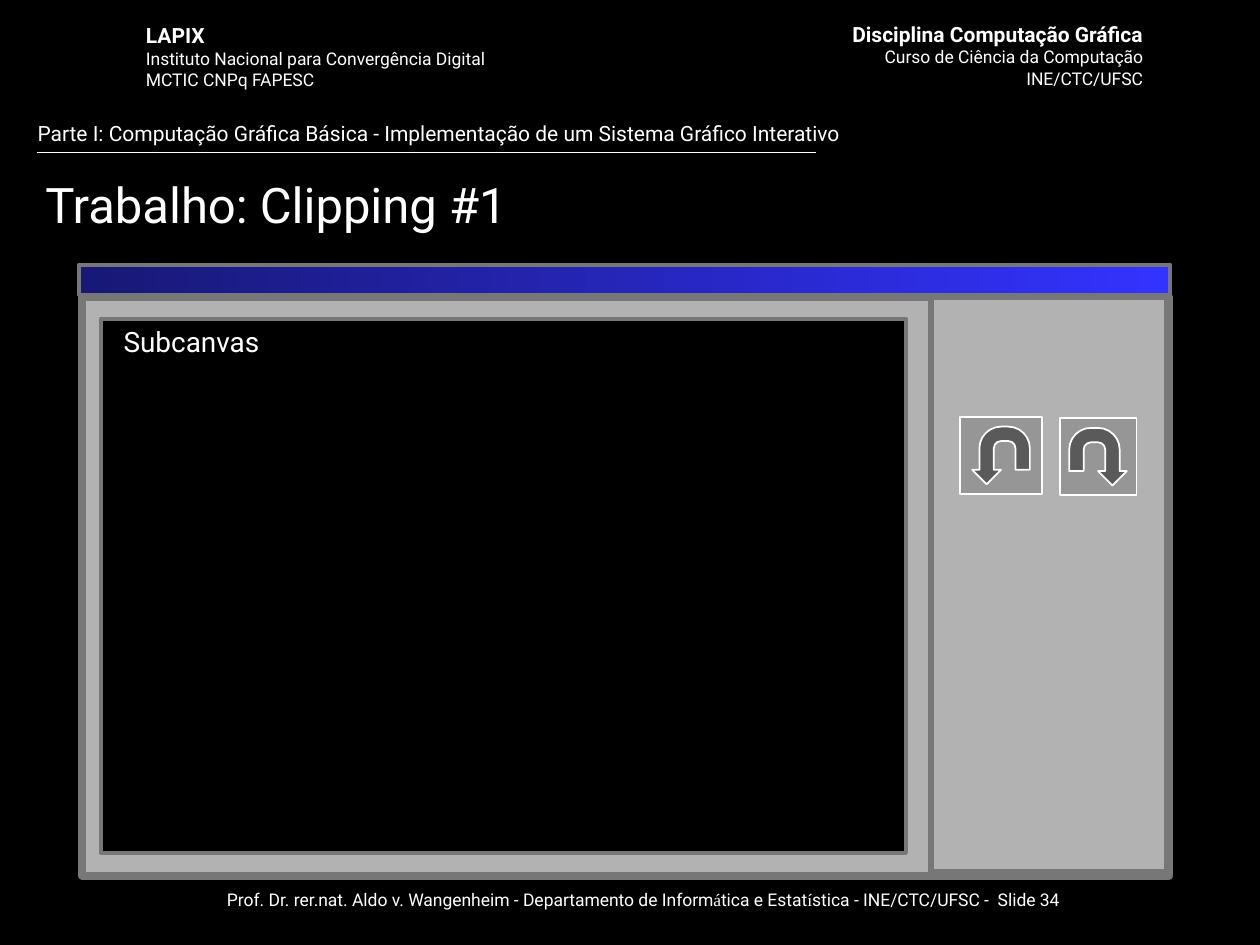
from lxml import etree
from pptx import Presentation
from pptx.dml.color import RGBColor
from pptx.enum.shapes import MSO_CONNECTOR, MSO_SHAPE
from pptx.enum.text import MSO_ANCHOR, MSO_AUTO_SIZE, PP_ALIGN
from pptx.oxml.ns import qn
from pptx.util import Inches, Pt

LEFT, CENTER, RIGHT = PP_ALIGN.LEFT, PP_ALIGN.CENTER, PP_ALIGN.RIGHT
MIDDLE = MSO_ANCHOR.MIDDLE
FIT_SHAPE, NO_FIT = MSO_AUTO_SIZE.SHAPE_TO_FIT_TEXT, MSO_AUTO_SIZE.NONE
STRAIGHT = MSO_CONNECTOR.STRAIGHT
RECT, RETURN = MSO_SHAPE.RECTANGLE, MSO_SHAPE.ACTION_BUTTON_RETURN
TITLE_ONLY = 5

COLORS = {
    "black": "000000",
    "white": "FFFFFF",
    "panel": "B2B2B2",
    "frame": "777777",
    "button": "969696",
    "bar_dark": "181876",
    "bar_light": "3333FF",
}
FONT = "Roboto"
ACCENT_FONT = "Times New Roman"


def rgb(name):
    return RGBColor.from_string(COLORS[name])


class SlideBuilder:
    def __init__(self, prs):
        self.slide = prs.slides.add_slide(prs.slide_layouts[TITLE_ONLY])
        fill = self.slide.background.fill
        fill.solid()
        fill.fore_color.rgb = rgb("black")

    def run(self, p, text, size, bold=False, font=FONT):
        r = p.add_run()
        r.text = text
        r.font.name = font
        r.font.size = Pt(size)
        r.font.bold = bold
        r.font.color.rgb = rgb("white")

    def title(self, box, text, size):
        sp = self.slide.shapes.title
        sp.left, sp.top, sp.width, sp.height = map(Inches, box)
        tf = sp.text_frame
        tf.auto_size = NO_FIT
        tf.vertical_anchor = MIDDLE
        p = tf.paragraphs[0]
        p.alignment = LEFT
        self.run(p, text, size)

    def text(self, box, paragraphs, align=LEFT, wrap=False, before=0):
        """Each paragraph is a list of runs: (text, size[, bold[, font]])."""
        sp = self.slide.shapes.add_textbox(*map(Inches, box))
        tf = sp.text_frame
        tf.word_wrap = wrap
        tf.auto_size = FIT_SHAPE
        for i, runs in enumerate(paragraphs):
            p = tf.add_paragraph() if i else tf.paragraphs[0]
            p.alignment = align
            p.space_before = Pt(before)
            for r in runs:
                self.run(p, *r)

    def line(self, x1, y1, x2, y2):
        cxn = self.slide.shapes.add_connector(STRAIGHT, *map(Inches, (x1, y1, x2, y2)))
        cxn.line.color.rgb = rgb("white")
        cxn.line.width = Pt(1)
        etree.SubElement(cxn._element.spPr, qn("a:effectLst"))

    def shape(self, kind, box, fill, line, width):
        sp = self.slide.shapes.add_shape(kind, *map(Inches, box))
        sp.shadow.inherit = False
        sp.fill.solid()
        sp.fill.fore_color.rgb = rgb(fill)
        sp.line.color.rgb = rgb(line)
        sp.line.width = Pt(width)
        return sp

    def panel(self, box, fill, width):
        return self.shape(RECT, box, fill, "frame", width)

    def gradient_bar(self, box, start, end, width):
        sp = self.panel(box, start, width)
        sp.fill.gradient()
        sp.fill.gradient_angle = 0
        for stop, position, color in zip(sp.fill.gradient_stops, (0, 1), (start, end)):
            stop.position = position
            stop.color.rgb = rgb(color)

    def turn_button(self, box, *flips):
        sp = self.shape(RETURN, box, "button", "white", 1)
        for flip in flips:
            sp._element.spPr.xfrm.set(flip, "1")


def main():
    prs = Presentation()
    prs.slide_width, prs.slide_height = Inches(10), Inches(7.5)
    s = SlideBuilder(prs)

    # Header and footer
    s.text((0.69, 7.01, 8.83, 0.44), [[
        ("Prof. Dr. rer.nat. Aldo v. Wangenheim - Departamento de Inform", 10),
        ("á", 10, False, ACCENT_FONT),
        ("tica e Estat", 10),
        ("í", 10, False, ACCENT_FONT),
        ("stica - INE/CTC/UFSC -  Slide 34", 10),
    ]], CENTER, wrap=True, before=6.2)
    s.line(0.29, 1.21, 6.48, 1.21)
    s.text((0.2, 0.91, 9.5, 0.3), [[(
        "Parte I: Computação Gráfica Básica - "
        "Implementação de um Sistema Gráfico Interativo", 12)]], wrap=True)
    s.text((6.42, 0.12, 2.75, 0.63), [
        [("Disciplina Computação Gráfica", 12, True)],
        [("Curso de Ciência da Computação", 10)],
        [("INE/CTC/UFSC", 10)],
    ], RIGHT)
    s.text((1.06, 0.13, 2.92, 0.65), [
        [("LAPIX", 12, True)],
        [("Instituto Nacional para Convergência Digital", 10)],
        [("MCTIC CNPq FAPESC", 10)],
    ])
    s.title((0.26, 1.29, 9.4, 0.65), "Trabalho: Clipping #1", 28)

    # Application window
    s.panel((0.65, 2.36, 8.63, 4.59), "panel", 4.5)
    s.panel((7.39, 2.36, 1.87, 4.56), "panel", 3)
    s.gradient_bar((0.63, 2.1, 8.66, 0.24), "bar_dark", "bar_light", 2.25)
    s.panel((0.8, 2.53, 6.39, 4.24), "black", 2.25)
    s.text((0.75, 2.53, 1.54, 0.37), [[("Subcanvas", 16)]], CENTER)
    s.turn_button((7.62, 3.31, 0.65, 0.61), "flipH", "flipV")
    s.turn_button((8.41, 3.32, 0.61, 0.61), "flipV")

    prs.save("out.pptx")


if __name__ == "__main__":
    main()
